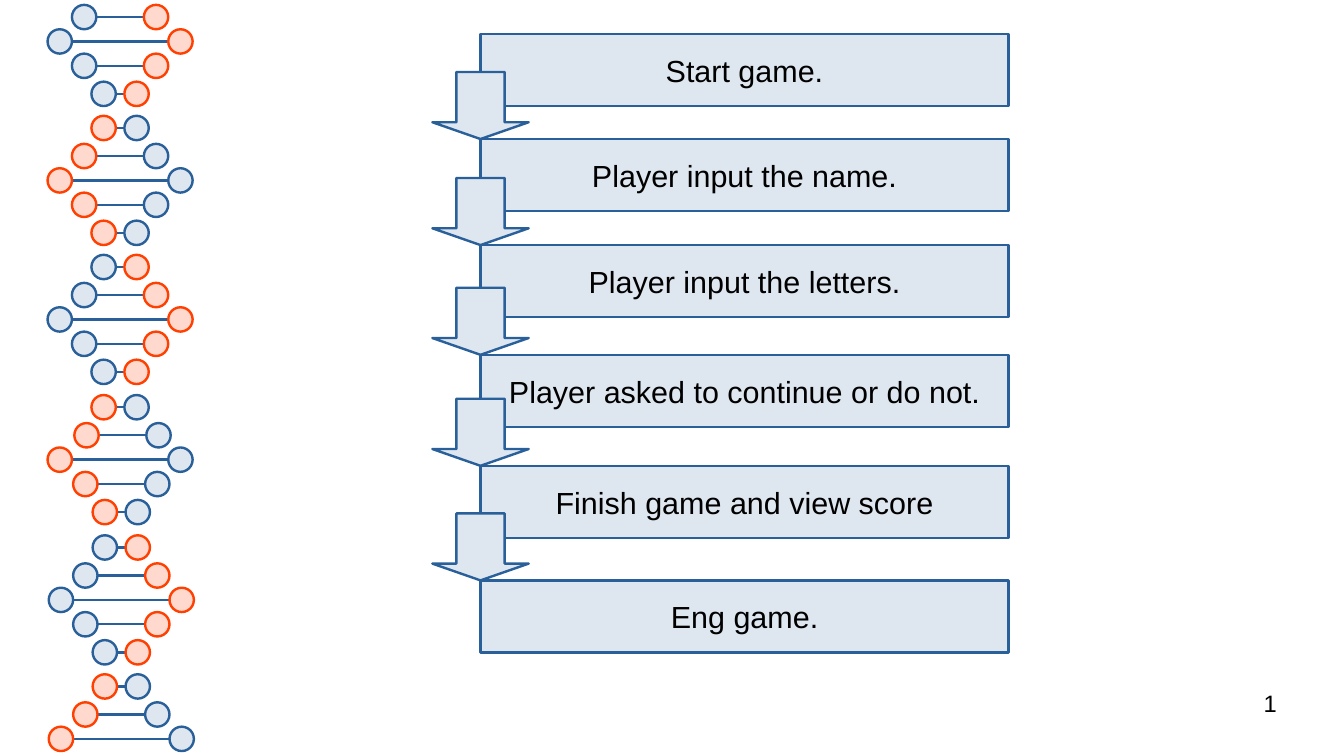
from pptx import Presentation
from pptx import util as u
from pptx.dml.color import RGBColor
from pptx.enum import shapes, text
from pptx.oxml import xmlchemy

BLUE = RGBColor(0x2A, 0x60, 0x99)
PALE_BLUE = RGBColor(0xDE, 0xE6, 0xEF)
ORANGE = RGBColor(0xFF, 0x40, 0x00)
PALE_ORANGE = RGBColor(0xFF, 0xD8, 0xCE)
BLACK = RGBColor(0, 0, 0)


class SlideBuilder:
    FONT = "Arial"
    LINE_WIDTH = u.Pt(1.42)

    def __init__(self, slide):
        self.slide = slide

    @staticmethod
    def apply(target, values):
        for name, value in values.items():
            setattr(target, name, value)

    def shape(self, kind, box, fill=PALE_BLUE, line=BLUE):
        shape = self.slide.shapes.add_shape(kind, *map(u.Inches, box))
        shape.shadow.inherit = False
        shape.fill.solid()
        shape.fill.fore_color.rgb = fill
        shape.line.color.rgb = line
        shape.line.width = self.LINE_WIDTH
        return shape

    def line(self, left, right, y):
        connector = self.slide.shapes.add_connector(
            shapes.MSO_CONNECTOR.STRAIGHT, *map(u.Inches, (left, y, right, y)))
        connector.line.color.rgb = BLUE
        connector.line.width = self.LINE_WIDTH
        properties = connector.element.spPr
        properties.append(xmlchemy.OxmlElement("a:effectLst"))

    def add_wording(self, shape, wording, size, alignment, frame_format):
        frame = shape.text_frame
        self.apply(frame, frame_format)
        paragraph = frame.paragraphs[0]
        paragraph.alignment = alignment
        run = paragraph.add_run()
        run.text = wording
        self.apply(run.font, {"name": self.FONT, "size": u.Pt(size)})
        run.font.color.rgb = BLACK

    def step(self, wording, box):
        shape = self.shape(shapes.MSO_SHAPE.RECTANGLE, box)
        self.add_wording(shape, wording, 18, text.PP_ALIGN.CENTER, {
            "word_wrap": False, "vertical_anchor": text.MSO_ANCHOR.MIDDLE})

    def arrow(self, box):
        arrow = self.shape(shapes.MSO_SHAPE.DOWN_ARROW, box)
        arrow.adjustments[0] = 0.5
        arrow.adjustments[1] = 0.25

    def label(self, wording, box):
        label = self.slide.shapes.add_textbox(*map(u.Inches, box))
        margins = dict.fromkeys(
            ("margin_left", "margin_top", "margin_right", "margin_bottom"), 0)
        self.add_wording(label, wording, 14, text.PP_ALIGN.RIGHT,
                         {"word_wrap": True, **margins})

    def rung(self, left, right, top, colours):
        size = 0.2
        self.line(left + size, right, top + size / 2)
        for x, (fill, line) in zip((left, right), colours):
            self.shape(shapes.MSO_SHAPE.OVAL, (x, top, size, size), fill, line)


def draw_helix(builder):
    # Each half turn has five rungs: offset from its top, left and right bead
    narrow, middle, wide = (0.75, 1.02), (0.59, 1.18), (0.39, 1.38)
    rungs = ((0, narrow), (0.23, middle), (0.43, wide),
             (0.63, middle), (0.86, narrow))
    turn_tops = (-0.19, 0.95, 2.09, 3.24, 4.39, 5.53)
    nudges = {(3, 1): 0.02}
    blue, orange = (PALE_BLUE, BLUE), (PALE_ORANGE, ORANGE)
    for turn, turn_top in enumerate(turn_tops):
        colours = (orange, blue) if turn % 2 else (blue, orange)
        for index, (offset, (left, right)) in enumerate(rungs):
            top = turn_top + offset
            if 0 < top < 6:
                lower_shift = 0.01 if top > 3.8 else 0
                shift = nudges.get((turn, index), lower_shift)
                builder.rung(left + shift, right + shift, top, colours)


def draw_flow(builder):
    steps = (
        (0.28, "Start game."),
        (1.14, "Player input the name."),
        (2.01, "Player input the letters."),
        (2.91, "Player asked to continue or do not."),
        (3.82, "Finish game and view score"),
        (4.76, "Eng game."),
    )
    left, arrow_width, arrow_height = 3.94, 0.79, 0.55
    for top, wording in steps:
        builder.step(wording, (left, top, 4.33, 0.59))
    # Every arrow ends at the top left corner of the next step
    for top, _ in steps[1:]:
        builder.arrow((left - arrow_width / 2, top - arrow_height,
                       arrow_width, arrow_height))


def main():
    presentation = Presentation()
    presentation.slide_width = u.Inches(11.02)
    presentation.slide_height = u.Inches(6.2)
    blank_layout = presentation.slide_layouts[6]
    builder = SlideBuilder(presentation.slides.add_slide(blank_layout))

    draw_helix(builder)
    draw_flow(builder)
    # Slide number
    builder.label("1", (7.9, 5.65, 2.57, 0.43))
    presentation.save("out.pptx")


if __name__ == "__main__":
    main()
